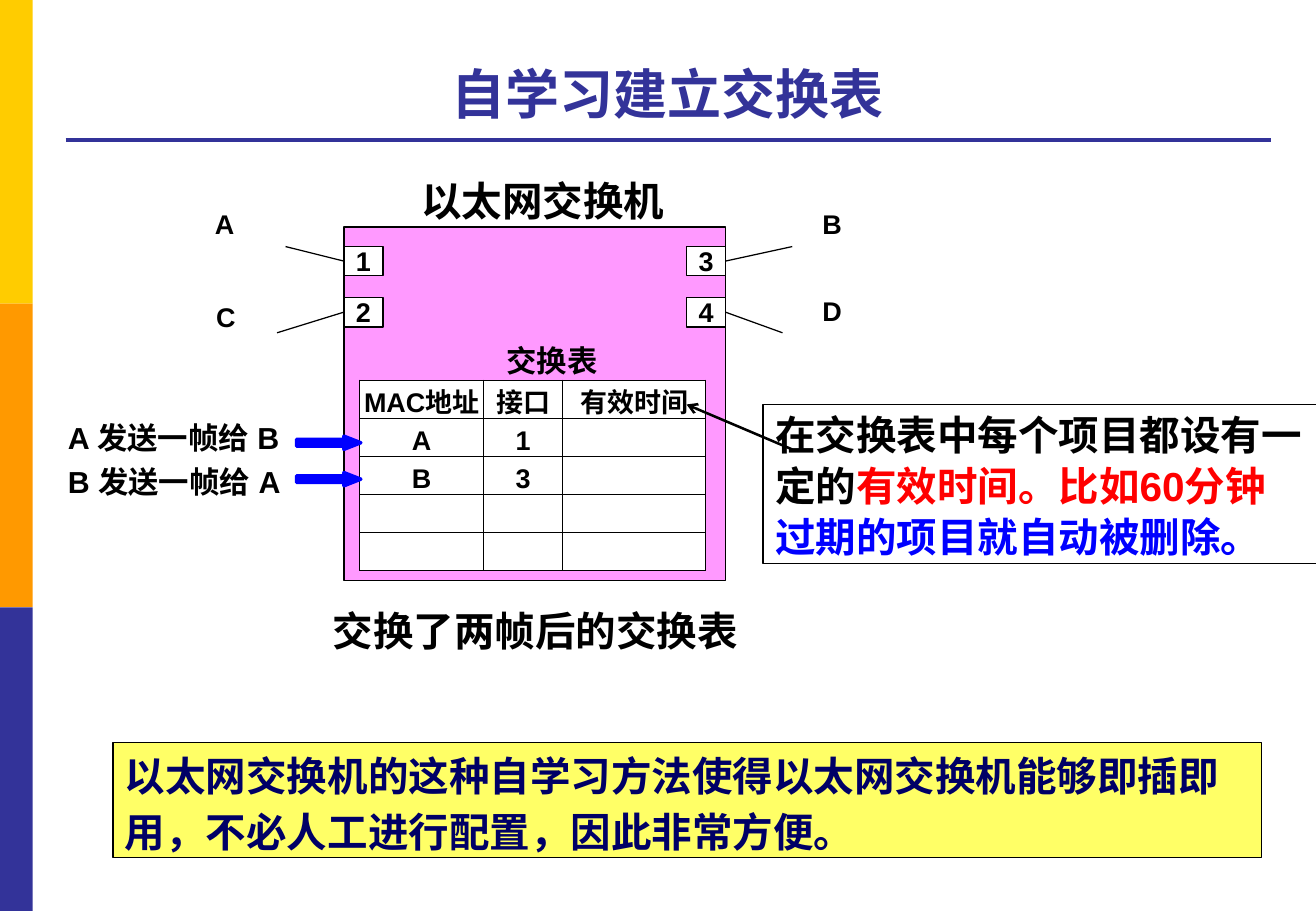
"""Build the slide on how a self-learning Ethernet switch fills its switching table."""
from dataclasses import dataclass
from typing import Any

import lxml.etree
import pptx
import pptx.dml.color
import pptx.enum.shapes
import pptx.enum.text
import pptx.oxml.ns
import pptx.util

Inches = pptx.util.Inches
Pt = pptx.util.Pt
qn = pptx.oxml.ns.qn
Shapes = pptx.enum.shapes.MSO_SHAPE
Align = pptx.enum.text.PP_ALIGN
Anchor = pptx.enum.text.MSO_ANCHOR

BLACK, WHITE, NAVY, BLUE, RED = "000000", "FFFFFF", "333399", "0000FF", "FF0000"
Frame = tuple[float, float, float, float]
Point = tuple[float, float]


@dataclass
class Span:
    text: str
    color: str = BLACK


@dataclass
class Text:
    paras: list[list[Span]]
    size: float
    align: Any = Align.LEFT
    anchor: Any = Anchor.MIDDLE
    wrap: bool = True
    inset: Point = (0.1, 0.05)
    spacing: float = 1.0
    gap: float = 0
    font: str = "Arial"


@dataclass
class Box:
    frame: Frame
    fill: str | None = None
    line: str | None = None
    weight: float = 1
    text: Text | None = None
    kind: Any = Shapes.RECTANGLE


@dataclass
class Port:
    number: str
    host: str
    left: float
    top: float
    side: int
    cable_end: Point
    label: Point


def rgb(color: str) -> pptx.dml.color.RGBColor:
    return pptx.dml.color.RGBColor.from_string(color)


def apply(target: Any, values: dict[str, Any]) -> None:
    for name, value in values.items():
        setattr(target, name, value)


def write(frame: Any, text: Text) -> None:
    for index, spans in enumerate(text.paras):
        para = frame.paragraphs[0] if index == 0 else frame.add_paragraph()
        apply(para, {"alignment": text.align, "line_spacing": text.spacing,
                     "space_before": Pt(text.gap if index else 0)})
        for span in spans:
            run = para.add_run()
            run.text = span.text
            apply(run.font, {"name": text.font, "size": Pt(text.size), "bold": True})
            run.font.color.rgb = rgb(span.color)
            face = lxml.etree.SubElement(run.font._element, qn("a:ea"))
            face.set("typeface", text.font)


def add_text(shape: Any, text: Text) -> None:
    across, down = (Inches(inset) for inset in text.inset)
    apply(shape.text_frame, {
        "word_wrap": text.wrap, "vertical_anchor": text.anchor,
        "margin_left": across, "margin_right": across,
        "margin_top": down, "margin_bottom": down})
    write(shape.text_frame, text)


def add_label(page: Any, frame: Frame, text: Text) -> None:
    add_text(page.shapes.add_textbox(*map(Inches, frame)), text)


def add_box(page: Any, box: Box) -> Any:
    shape = page.shapes.add_shape(box.kind, *map(Inches, box.frame))
    shape.shadow.inherit = False
    if box.fill:
        shape.fill.solid()
        shape.fill.fore_color.rgb = rgb(box.fill)
    else:
        shape.fill.background()
    if box.line:
        shape.line.color.rgb = rgb(box.line)
        shape.line.width = Pt(box.weight)
    else:
        shape.line.fill.background()
    if box.text:
        add_text(shape, box.text)
    return shape


def add_line(page: Any, start: Point, end: Point, color: str, weight: float,
             arrow: bool = False) -> Any:
    line = page.shapes.add_connector(pptx.enum.shapes.MSO_CONNECTOR.STRAIGHT,
                                     *map(Inches, (*start, *end)))
    line.line.color.rgb = rgb(color)
    line.line.width = Pt(weight)
    if arrow:
        lxml.etree.SubElement(line.line._get_or_add_ln(), qn("a:tailEnd"), type="arrow")
    lxml.etree.SubElement(line._element.spPr, qn("a:effectLst"))
    return line


def add_port(page: Any, port: Port) -> None:
    number = Text([[Span(port.number)]], 16, Align.CENTER, wrap=False, inset=(0, 0))
    shape = add_box(page, Box((port.left, port.top, 0.32, 0.24), WHITE, BLACK, 1, number))
    cable = add_line(page, (port.left, port.top), port.cable_end, BLACK, 0.75)
    cable.begin_connect(shape, port.side)
    add_label(page, (*port.label, 0.36, 0.37), Text([[Span(port.host)]], 16, wrap=False))


def add_switch_table(page: Any, frame: Frame, widths: list[float],
                     rows: list[list[str]]) -> None:
    table = page.shapes.add_table(len(rows), len(widths), *map(Inches, frame)).table
    apply(table, {"first_row": False, "horz_banding": False})
    for column, width in zip(table.columns, widths):
        column.width = Inches(width)
    for row, values in enumerate(rows):
        table.rows[row].height = Inches(frame[3] / len(rows))
        for column, value in enumerate(values):
            cell = table.cell(row, column)
            apply(cell, {"margin_left": 0, "margin_right": 0, "margin_top": 0,
                         "margin_bottom": 0, "vertical_anchor": Anchor.BOTTOM})
            for edge in ("a:lnL", "a:lnR", "a:lnT", "a:lnB"):
                border = lxml.etree.SubElement(cell._tc.get_or_add_tcPr(), qn(edge),
                                               w=str(Pt(0.75)))
                ink = lxml.etree.SubElement(border, qn("a:solidFill"))
                lxml.etree.SubElement(ink, qn("a:srgbClr"), val=BLACK)
            cell.fill.solid()
            cell.fill.fore_color.rgb = rgb(WHITE)
            if value:
                write(cell.text_frame, Text([[Span(value)]], 16, Align.CENTER))


def main() -> None:
    deck = pptx.Presentation()
    apply(deck, {"slide_width": Inches(10.83), "slide_height": Inches(7.5)})
    page = deck.slides.add_slide(deck.slide_layouts[6])

    for index, color in enumerate(("FFCC00", "FF9900", NAVY)):
        add_box(page, Box((0, index * 2.5, 0.27, 2.5), color))
    add_line(page, (0.54, 1.15), (10.46, 1.15), NAVY, 2.25)
    add_label(page, (0.54, 0.21, 9.91, 0.87),
              Text([[Span("自学习建立交换表", NAVY)]], 32, Align.CENTER, Anchor.BOTTOM))

    add_box(page, Box((2.83, 1.87, 3.14, 2.91), "FF99FF", BLACK))
    for port in (Port("1", "A", 2.83, 2.03, 1, (2.35, 2.03), (1.67, 1.66)),
                 Port("2", "C", 2.83, 2.45, 1, (2.28, 2.74), (1.68, 2.42)),
                 Port("3", "B", 5.65, 2.03, 3, (6.52, 2.03), (6.67, 1.66)),
                 Port("4", "D", 5.65, 2.45, 3, (6.44, 2.74), (6.67, 2.37))):
        add_port(page, port)
    add_label(page, (3.37, 1.4, 2.23, 0.5),
              Text([[Span("以太网交换机")]], 24, wrap=False, font="Noto Sans CJK SC"))
    add_label(page, (4.07, 2.77, 0.96, 0.4), Text([[Span("交换表")]], 18, wrap=False))
    add_switch_table(page, (2.96, 3.13, 2.85, 1.57), [1.02, 0.65, 1.18],
                     [["MAC地址", "接口", "有效时间"], ["A", "1", ""], ["B", "3", ""],
                      [""] * 3, [""] * 3])
    add_label(page, (1.96, 4.94, 4.89, 0.5),
              Text([[Span("交换了两帧后的交换表")]], 24, Align.CENTER))

    add_label(page, (0.46, 3.4, 2.28, 0.75),
              Text([[Span("A 发送一帧给 B")], [Span("B 发送一帧给 A")]], 18,
                   spacing=1.05, gap=3))
    for top in (3.59, 3.89):
        arrow = add_box(page, Box((2.44, top, 0.53, 0.11), BLUE, BLUE, 2,
                                  kind=Shapes.RIGHT_ARROW))
        arrow.adjustments[1] = 1.27

    add_box(page, Box((6.28, 3.33, 4.69, 1.31), None, BLACK, 1, Text(
        [[Span("在交换表中每个项目都设有一定的"), Span("有效时间。比如60分钟", RED)],
         [Span("过期的项目就自动被删除。", BLUE)]], 24, spacing=1.05)))
    add_line(page, (6.52, 3.7), (5.65, 3.33), BLACK, 1.5, arrow=True)
    add_box(page, Box((0.93, 6.11, 9.45, 0.95), "FFFF66", BLACK, 0.75, Text(
        [[Span("以太网交换机的这种自学习方法使得以太网交换机能够即插即用，"
               "不必人工进行配置，因此非常方便。", "000066")]], 24, spacing=1.15)))
    deck.save("out.pptx")


if __name__ == "__main__":
    main()
